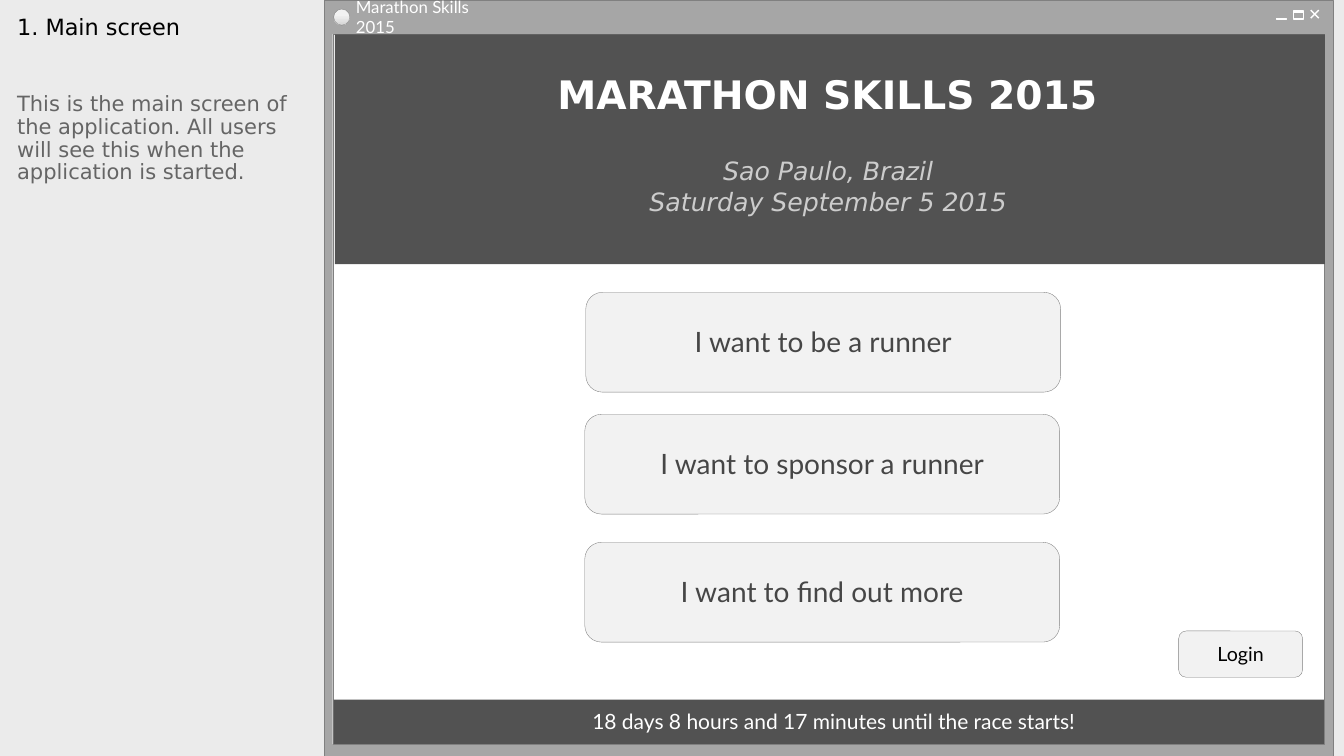
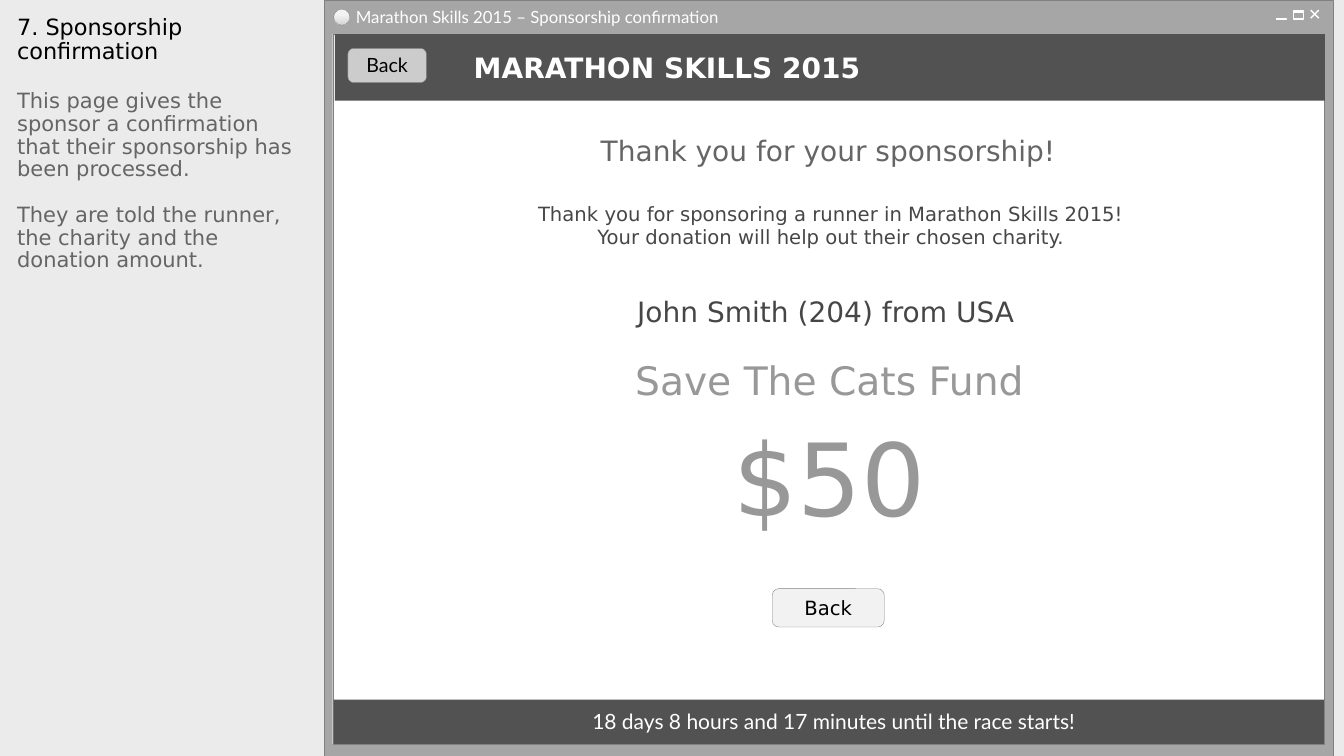
"""Build two wireframe slides of a marathon sign-up application."""
import dataclasses

import lxml.etree
import pptx
import pptx.dml.color
import pptx.enum.shapes
import pptx.enum.text
import pptx.oxml.ns
import pptx.util

Inches = pptx.util.Inches
Pt = pptx.util.Pt
Shape = pptx.enum.shapes.MSO_SHAPE
Align = pptx.enum.text.PP_ALIGN
Anchor = pptx.enum.text.MSO_ANCHOR


@dataclasses.dataclass(frozen=True)
class Theme:
    """Colours, fonts, type sizes and insets shared by both slides."""
    sidebar: str = "EBEBEB"
    frame: str = "A6A6A6"
    outline: str = "808080"
    band: str = "525252"
    icon: str = "919191"
    button: str = "F2F2F2"
    button_dark: str = "CCCCCC"
    orb_shade: str = "D9D9D9"
    white: str = "FFFFFF"
    black: str = "000000"
    dark: str = "464646"
    middle: str = "656565"
    light: str = "989898"
    pale: str = "CCCCCC"
    sans: str = "DejaVu Sans"
    lato: str = "Lato"
    hairline: float = 0.25
    stroke: float = 1
    caption: int = 12
    label: int = 14
    note: int = 15
    title: int = 16
    subtitle: int = 18
    heading: int = 20
    display: int = 28
    amount: int = 72
    text_insets: tuple = (0.1, 0.02, 0.1, 0.03)
    caption_insets: tuple = (0.05, 0.02, 0.1, 0.03)
    button_insets: tuple = (0.1, 0, 0.1, 0.01)
    note_insets: tuple = (0.1, 0.05, 0.1, 0.05)
    no_insets: tuple = (0, 0, 0, 0)


THEME = Theme()
EVENT = "MARATHON SKILLS 2015"
COUNTDOWN = "18 days 8 hours and 17 minutes until the race starts!"
BIG_BUTTON = dict(size=THEME.heading, color=THEME.dark)
PLAIN = dict(insets=THEME.no_insets)

SCREENS = [
    {
        "title": "1. Main screen",
        "notes": ["This is the main screen of the application. All users will "
                  "see this when the application is started."],
        "notes_top": 0.88,
        "caption": "Marathon Skills 2015",
        "caption_width": 1.4,
        "header_height": 2.28,
        "texts": [
            ([EVENT], (4.9, 0.68, 6.61, 0.52),
             dict(size=THEME.display, color=THEME.white, bold=True)),
            (["Sao Paulo, Brazil", "Saturday September 5 2015"], (5.86, 1.52, 4.71, 0.66),
             dict(size=THEME.subtitle, color=THEME.pale, italic=True)),
        ],
        "buttons": [
            ("I want to be a runner", (5.81, 2.9, 4.71, 0.99), THEME.button, BIG_BUTTON),
            ("I want to sponsor a runner", (5.8, 4.11, 4.71, 0.99), THEME.button, BIG_BUTTON),
            ("I want to find out more", (5.8, 5.38, 4.71, 0.99), THEME.button, BIG_BUTTON),
            ("Login", (11.69, 6.26, 1.23, 0.46), THEME.button, {}),
        ],
    },
    {
        "title": "7. Sponsorship confirmation",
        "notes": ["This page gives the sponsor a confirmation that their "
                  "sponsorship has been processed.",
                  "They are told the runner, the charity and the donation amount."],
        "notes_top": 0.85,
        "caption": "Marathon Skills 2015 – Sponsorship confirmation",
        "caption_width": 3.9,
        "header_height": 0.66,
        "texts": [
            ([EVENT], (4.6, 0.48, 4.26, 0.39),
             dict(size=THEME.heading, color=THEME.white, bold=True, align=Align.LEFT)),
            (["Thank you for your sponsorship!"], (4.55, 1.3, 7.33, 0.39),
             dict(size=THEME.heading, color=THEME.middle)),
            (["Thank you for sponsoring a runner in Marathon Skills 2015!\v"
              "Your donation will help out their chosen charity."], (3.98, 1.98, 8.52, 0.52),
             dict(size=THEME.label, color=THEME.dark)),
            (["John Smith (204) from USA "], (3.46, 2.92, 9.55, 0.34),
             dict(size=THEME.heading, color=THEME.dark, **PLAIN)),
            (["Save The Cats Fund"], (3.45, 3.53, 9.55, 0.47),
             dict(size=THEME.display, color=THEME.light, **PLAIN)),
            (["$50"], (3.45, 4.12, 9.55, 1.21),
             dict(size=THEME.amount, color=THEME.light, **PLAIN)),
        ],
        "buttons": [
            ("Back", (3.45, 0.48, 0.78, 0.34), THEME.button_dark, {}),
            ("Back", (7.66, 5.84, 1.11, 0.38), THEME.button, dict(font=THEME.sans)),
        ],
    },
]


def rgb(color):
    """Turn a hexadecimal string into a colour."""
    return pptx.dml.color.RGBColor.from_string(color)


def lengths(box):
    """Turn numbers into inches."""
    return [Inches(value) for value in box]


def write_text(shape, paragraphs, *, size, color, font=THEME.sans, bold=False, italic=False,
               align=Align.CENTER, anchor=Anchor.MIDDLE, insets=THEME.text_insets,
               line_spacing=1.0, gap=0):
    """Fill a shape with formatted paragraphs."""
    frame = shape.text_frame
    frame.word_wrap = True
    frame.auto_size = pptx.enum.text.MSO_AUTO_SIZE.NONE
    frame.vertical_anchor = anchor
    (frame.margin_left, frame.margin_top,
     frame.margin_right, frame.margin_bottom) = lengths(insets)
    for index, text in enumerate(paragraphs):
        paragraph = frame.add_paragraph() if index else frame.paragraphs[0]
        paragraph.text = text
        paragraph.alignment = align
        paragraph.line_spacing = line_spacing
        paragraph.space_before = Pt(gap if index else 0)
        for run in paragraph.runs:
            run.font.name = font
            run.font.size = Pt(size)
            run.font.bold = bold
            run.font.italic = italic
            run.font.color.rgb = rgb(color)


def add_text(shapes, paragraphs, box, **style):
    """Add a text box."""
    write_text(shapes.add_textbox(*lengths(box)), paragraphs, **style)


def add_box(shapes, kind, box, fill=None, line=None, width=THEME.hairline):
    """Add a flat preset shape."""
    shape = shapes.add_shape(kind, *lengths(box))
    shape.shadow.inherit = False
    if fill:
        shape.fill.solid()
        shape.fill.fore_color.rgb = rgb(fill)
    else:
        shape.fill.background()
    if line:
        shape.line.color.rgb = rgb(line)
        shape.line.width = Pt(width)
    else:
        shape.line.fill.background()
    return shape


def add_stroke(shapes, start, end):
    """Add a thin white line."""
    connector = shapes.add_connector(pptx.enum.shapes.MSO_CONNECTOR.STRAIGHT,
                                     *lengths(start + end))
    connector.line.color.rgb = rgb(THEME.white)
    connector.line.width = Pt(THEME.stroke)
    properties = connector.element.find(pptx.oxml.ns.qn("p:spPr"))
    lxml.etree.SubElement(properties, pptx.oxml.ns.qn("a:effectLst"))


def add_window(slide, caption, caption_width):
    """Draw the application window with its caption and controls."""
    shapes = slide.shapes.add_group_shape().shapes
    add_box(shapes, Shape.RECTANGLE, (3.22, 0, 10, 7.5), THEME.frame, THEME.outline)
    add_box(shapes, Shape.RECTANGLE, (3.3, 0.34, 9.83, 7.04), THEME.white, THEME.outline)
    add_text(shapes, [caption], (3.48, 0.05, caption_width, 0.25), size=THEME.caption,
             color=THEME.white, font=THEME.lato, align=Align.LEFT, insets=THEME.caption_insets)
    left, top, right, bottom = 13, 0.1, 13.08, 0.18
    add_stroke(shapes, (left, top), (right, bottom))
    add_stroke(shapes, (right, top), (left, bottom))
    for bar in ((12.83, 0.11, 0.1, 0.01), (12.66, 0.18, 0.1, 0.01)):
        add_box(shapes, Shape.RECTANGLE, bar, THEME.icon, THEME.white)
    add_box(shapes, Shape.RECTANGLE, (12.83, 0.11, 0.1, 0.08),
            line=THEME.white, width=THEME.stroke)
    orb = add_box(shapes, Shape.OVAL, (3.31, 0.09, 0.16, 0.16), THEME.button, THEME.outline)
    orb.fill.gradient()
    orb.fill.gradient_angle = 270
    stops = ((0.36, THEME.button), (0.91, THEME.orb_shade))
    for stop, (position, color) in zip(orb.fill.gradient_stops, stops):
        stop.position = position
        stop.color.rgb = rgb(color)


def place(shape, box):
    """Move and size a placeholder."""
    shape.left, shape.top, shape.width, shape.height = lengths(box)


def add_sidebar(slide, title, notes, notes_top):
    """Fill the title and body placeholders beside the window."""
    style = dict(align=Align.LEFT, anchor=Anchor.TOP, insets=THEME.note_insets,
                 line_spacing=0.9)
    heading, body = slide.shapes.title, slide.placeholders[1]
    place(heading, (0.07, 0.11, 3.01, notes_top - 0.11))
    write_text(heading, [title], size=THEME.title, color=THEME.black, **style)
    place(body, (0.07, notes_top, 3.01, 7.32 - notes_top))
    write_text(body, notes, size=THEME.note, color=THEME.middle, gap=16.2, **style)
    for paragraph in body.text_frame.paragraphs:
        properties = paragraph._p.get_or_add_pPr()
        properties.set("marL", "0")
        properties.set("indent", "0")
        lxml.etree.SubElement(properties, pptx.oxml.ns.qn("a:buNone"))


def add_screen(presentation, screen):
    """Add one slide with its sidebar, window and contents."""
    slide = presentation.slides.add_slide(presentation.slide_layouts[1])
    add_sidebar(slide, screen["title"], screen["notes"], screen["notes_top"])
    add_window(slide, screen["caption"], screen["caption_width"])
    shapes = slide.shapes
    add_box(shapes, Shape.RECTANGLE, (3.32, 0.34, 9.82, screen["header_height"]), THEME.band)
    add_box(shapes, Shape.RECTANGLE, (3.31, 6.94, 9.82, 0.44), THEME.band)
    add_text(shapes, [COUNTDOWN], (4.33, 7.01, 7.88, 0.3), size=THEME.note,
             color=THEME.white, font=THEME.lato)
    for paragraphs, box, style in screen["texts"]:
        add_text(shapes, paragraphs, box, **style)
    button_style = dict(size=THEME.label, color=THEME.black, font=THEME.lato,
                        insets=THEME.button_insets)
    for label, box, fill, style in screen["buttons"]:
        button = add_box(shapes, Shape.ROUNDED_RECTANGLE, box, fill, THEME.outline)
        write_text(button, [label], **{**button_style, **style})


def main():
    """Build and save the presentation."""
    presentation = pptx.Presentation()
    presentation.slide_width, presentation.slide_height = lengths((13.33, 7.5))
    background = presentation.slide_master.background.fill
    background.solid()
    background.fore_color.rgb = rgb(THEME.sidebar)
    for screen in SCREENS:
        add_screen(presentation, screen)
    presentation.save("out.pptx")


main()
